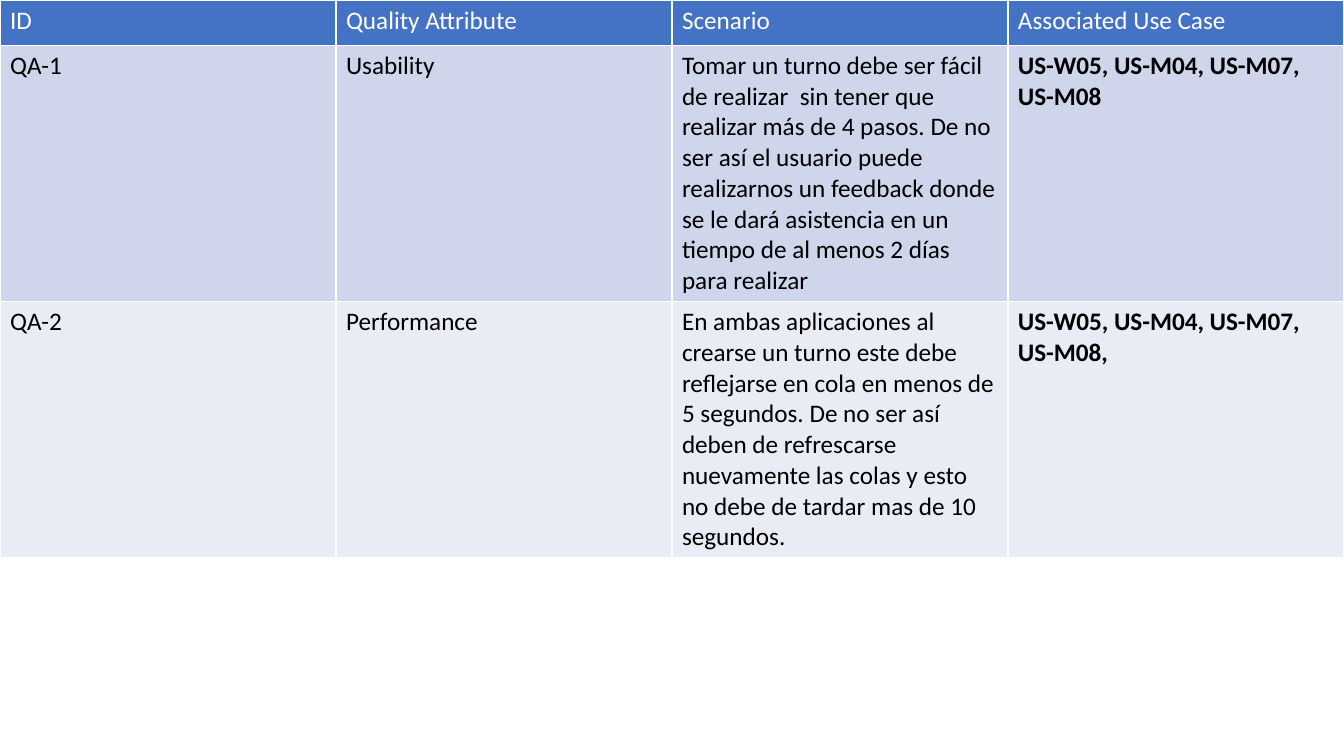
"""Build a slide with a table of quality attribute scenarios."""
from typing import NamedTuple

from pptx import Presentation
from pptx.dml.color import RGBColor
from pptx.table import Table, _Cell
from pptx.util import Pt

WHITE = RGBColor(0xFF, 0xFF, 0xFF)
BLACK = RGBColor(0x00, 0x00, 0x00)
HEADER_BLUE = RGBColor(0x44, 0x72, 0xC4)
BAND_DARK = RGBColor(0xCF, 0xD5, 0xEA)
BAND_LIGHT = RGBColor(0xE9, 0xEB, 0xF5)

SLIDE_WIDTH = 960
SLIDE_HEIGHT = 540
HEADER_HEIGHT = 32.4
SCENARIO_HEIGHT = 183


class TableRow(NamedTuple):
    texts: tuple[str, str, str, str]
    height: float
    fill: RGBColor
    color: RGBColor = BLACK
    bold_use_case: bool = True


ROWS = (
    TableRow(
        ("ID", "Quality Attribute", "Scenario", "Associated Use Case"),
        HEADER_HEIGHT, HEADER_BLUE, color=WHITE, bold_use_case=False,
    ),
    TableRow(
        (
            "QA-1",
            "Usability",
            "Tomar un turno debe ser fácil de realizar  sin tener que realizar "
            "más de 4 pasos. De no ser así el usuario puede realizarnos un "
            "feedback donde se le dará asistencia en un tiempo de al menos "
            "2 días para realizar",
            "US-W05, US-M04, US-M07, US-M08",
        ),
        SCENARIO_HEIGHT, BAND_DARK,
    ),
    TableRow(
        (
            "QA-2",
            "Performance",
            "En ambas aplicaciones al crearse un turno este debe reflejarse en "
            "cola en menos de 5 segundos. De no ser así deben de refrescarse "
            "nuevamente las colas y esto no debe de tardar mas de 10 segundos.",
            "US-W05, US-M04, US-M07, US-M08,",
        ),
        SCENARIO_HEIGHT, BAND_LIGHT,
    ),
)


def write_cell(cell: _Cell, text: str, *, fill: RGBColor, color: RGBColor,
               bold: bool = False, size: float = 18) -> None:
    cell.fill.solid()
    cell.fill.fore_color.rgb = fill
    run = cell.text_frame.paragraphs[0].add_run()
    run.text = text
    run.font.name = "Calibri"
    run.font.size = Pt(size)
    run.font.bold = bold
    run.font.color.rgb = color


def fill_row(table: Table, index: int, row: TableRow) -> None:
    table.rows[index].height = Pt(row.height)
    last_column = len(row.texts) - 1
    for column, text in enumerate(row.texts):
        write_cell(table.cell(index, column), text, fill=row.fill, color=row.color,
                   bold=row.bold_use_case and column == last_column)


def main() -> None:
    presentation = Presentation()
    presentation.slide_width = Pt(SLIDE_WIDTH)
    presentation.slide_height = Pt(SLIDE_HEIGHT)
    slide = presentation.slides.add_slide(presentation.slide_layouts[6])
    table_height = sum(row.height for row in ROWS)
    table = slide.shapes.add_table(len(ROWS), len(ROWS[0].texts), Pt(0), Pt(0),
                                   Pt(SLIDE_WIDTH), Pt(table_height)).table
    for index, row in enumerate(ROWS):
        fill_row(table, index, row)
    presentation.save("out.pptx")


if __name__ == "__main__":
    main()
